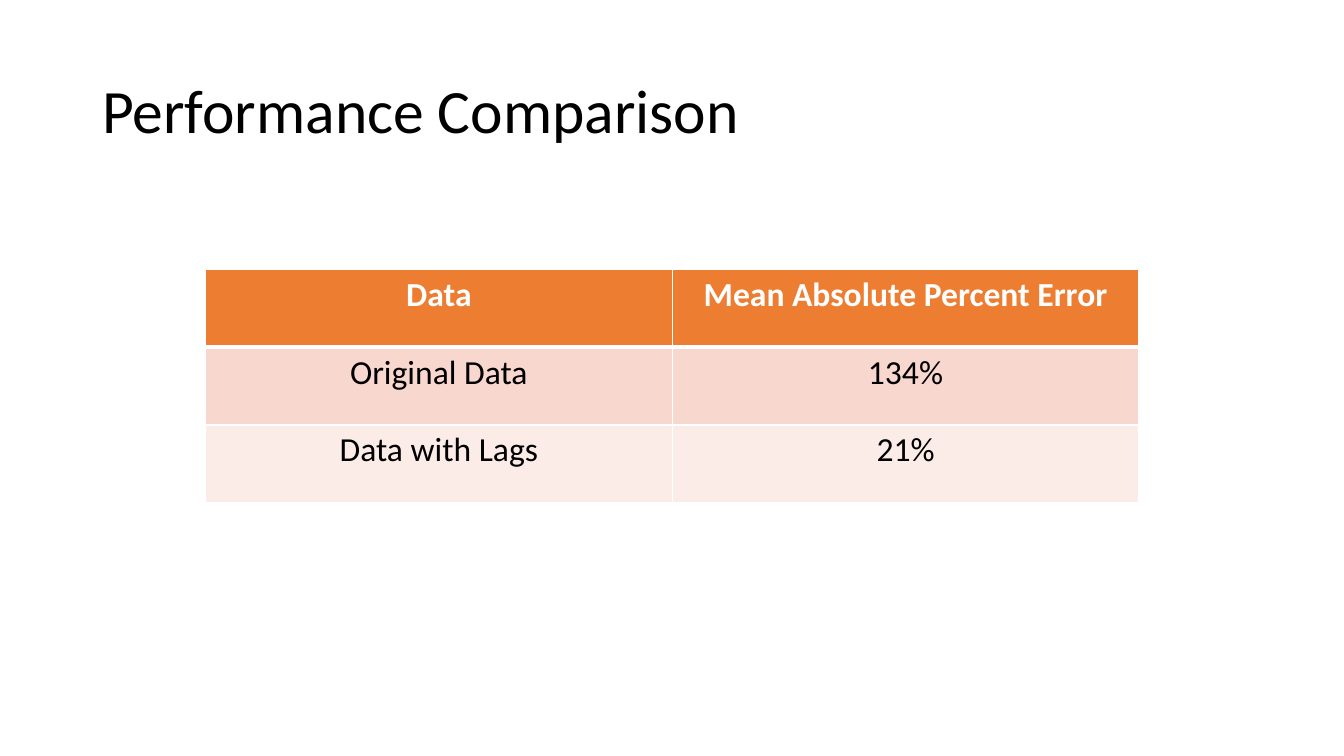
from lxml import etree
from pptx import Presentation
from pptx.dml.color import RGBColor
from pptx.enum.text import MSO_ANCHOR, PP_ALIGN
from pptx.oxml.ns import qn
from pptx.util import Cm, Pt

MIDDLE = MSO_ANCHOR.MIDDLE
CENTER = PP_ALIGN.CENTER

WHITE = RGBColor(0xFF, 0xFF, 0xFF)
BLACK = RGBColor(0x00, 0x00, 0x00)
ORANGE = RGBColor(0xED, 0x7D, 0x31)
ROSE = RGBColor(0xF8, 0xD7, 0xCE)
PALE_ROSE = RGBColor(0xFC, 0xEC, 0xE8)

FONT = "Calibri"
TITLE = "Performance Comparison"
ROWS = [
    ("Data", "Mean Absolute Percent Error"),
    ("Original Data", "134%"),
    ("Data with Lags", "21%"),
]
ROW_FILLS = [ORANGE, ROSE, PALE_ROSE]
COL_WIDTH = Cm(11.76)
ROW_HEIGHT = Cm(1.96)


def add_run(p, text, size, color, bold=False):
    r = p.add_run()
    r.text = text
    r.font.name = FONT
    r.font.size = Pt(size)
    r.font.bold = bold
    r.font.color.rgb = color


def add_border(cell, side, width):
    ln = etree.SubElement(cell._tc.get_or_add_tcPr(), qn(f"a:ln{side}"), w=str(Pt(width)))
    fill = etree.SubElement(ln, qn("a:solidFill"))
    etree.SubElement(fill, qn("a:srgbClr"), val=str(WHITE))


def add_title(s):
    tf = s.shapes.add_textbox(Cm(2.33), Cm(1.01), Cm(29.21), Cm(3.68)).text_frame
    tf.word_wrap = True
    tf.vertical_anchor = MIDDLE
    p = tf.paragraphs[0]
    p.line_spacing = 0.9
    add_run(p, TITLE, 44, BLACK)


def add_error_table(s):
    n_rows, n_cols = len(ROWS), len(ROWS[0])
    table = s.shapes.add_table(n_rows, n_cols, Cm(5.18), Cm(6.79),
                               COL_WIDTH * n_cols, ROW_HEIGHT * n_rows).table
    for col in table.columns:
        col.width = COL_WIDTH
    for i, (texts, color) in enumerate(zip(ROWS, ROW_FILLS)):
        table.rows[i].height = ROW_HEIGHT
        header = i == 0
        widths = {"L": 1, "R": 1, "T": 3 if i == 1 else 1, "B": 3 if header else 1}
        for j, text in enumerate(texts):
            cell = table.cell(i, j)
            for side, width in widths.items():
                add_border(cell, side, width)
            cell.fill.solid()
            cell.fill.fore_color.rgb = color
            p = cell.text_frame.paragraphs[0]
            p.alignment = CENTER
            add_run(p, text, 24, WHITE if header else BLACK, header)


def main():
    prs = Presentation()
    prs.slide_width = Cm(33.87)
    prs.slide_height = Cm(19.05)
    s = prs.slides.add_slide(prs.slide_layouts[6])
    add_title(s)
    add_error_table(s)
    prs.save("out.pptx")


if __name__ == "__main__":
    main()
